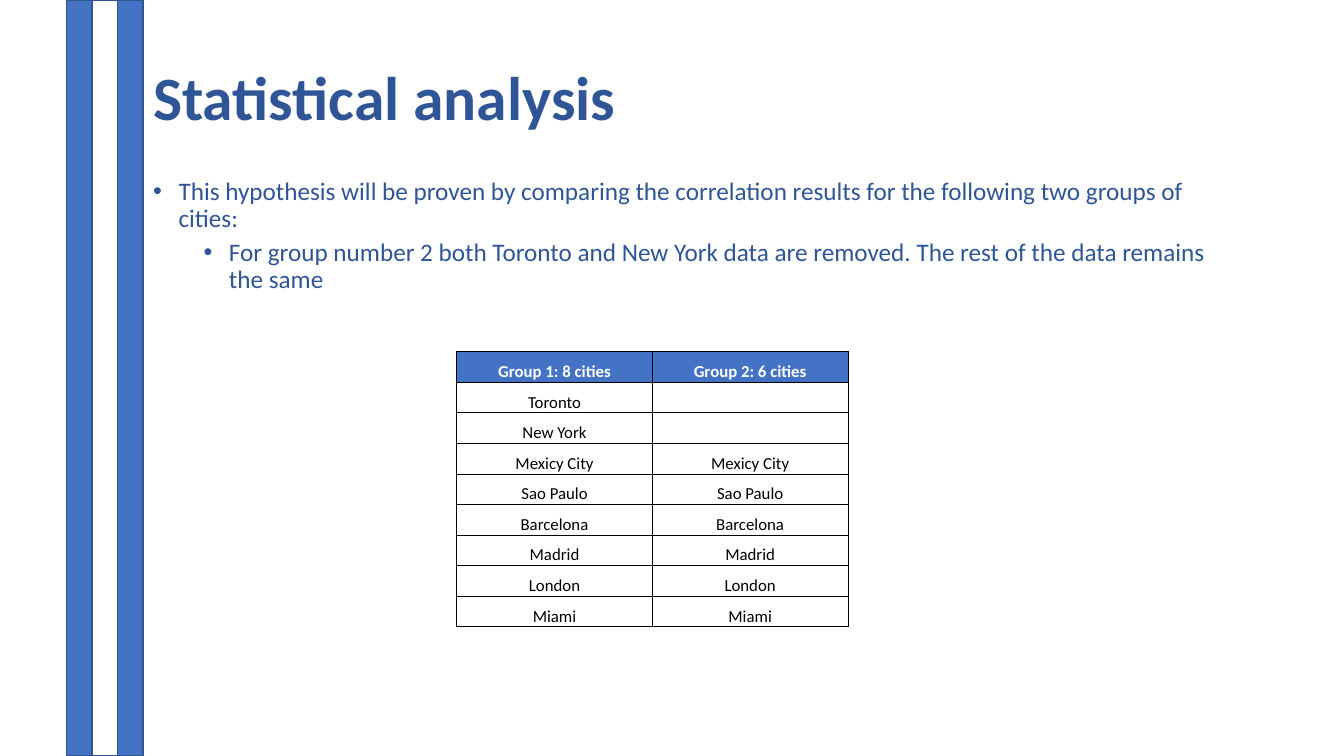
from dataclasses import dataclass

from lxml import etree
from pptx import Presentation
from pptx import util as u
from pptx.dml.color import RGBColor
from pptx.enum import shapes, text
from pptx.oxml import ns

FONT = "Calibri"
BLUE, DARK_BLUE, OUTLINE = "4472C4", "2F5597", "325491"
WHITE, BLACK = "FFFFFF", "000000"
TEXT_LEFT, TEXT_WIDTH = 3.61, 27.94
STRIPE_LEFT, STRIPE_WIDTH = 1.68, 0.64
SLIDE_HEIGHT = 19.05
COLUMN_WIDTH, ROW_HEIGHT = 4.93, 0.77


@dataclass
class Style:
    size: int
    color: str
    bold: bool = False


@dataclass
class Bullet:
    words: str
    indent: float
    space_before: int


TITLE_STYLE = Style(44, DARK_BLUE, True)
BODY_STYLE = Style(18, DARK_BLUE)
HEADER_STYLE = Style(12, WHITE, True)
CITY_STYLE = Style(12, BLACK)

BULLETS = [
    Bullet("This hypothesis will be proven by comparing the correlation results "
           "for the following two groups of cities:", 0.64, 10),
    Bullet("For group number 2 both Toronto and New York data are removed. "
           "The rest of the data remains the same", 1.91, 5),
]
HEADERS = ("Group 1: 8 cities", "Group 2: 6 cities")
CITIES = ("Toronto", "New York", "Mexicy City", "Sao Paulo",
          "Barcelona", "Madrid", "London", "Miami")
REMOVED = ("Toronto", "New York")


def rgb(value: str) -> RGBColor:
    return RGBColor.from_string(value)


def add_span(para, words: str, style: Style) -> None:
    span = para.add_run()
    span.text = words
    span.font.name = FONT
    span.font.size = u.Pt(style.size)
    span.font.bold = style.bold
    span.font.color.rgb = rgb(style.color)


def add_stripe(page, left: float, fill: str) -> None:
    stripe = page.shapes.add_shape(
        shapes.MSO_SHAPE.FLOWCHART_PROCESS, u.Cm(left), 0,
        u.Cm(STRIPE_WIDTH), u.Cm(SLIDE_HEIGHT))
    stripe.shadow.inherit = False
    stripe.fill.solid()
    stripe.fill.fore_color.rgb = rgb(fill)
    stripe.line.color.rgb = rgb(OUTLINE)
    stripe.line.width = u.Pt(1)


def add_text_frame(page, top: float, height: float, anchor):
    box = page.shapes.add_textbox(
        u.Cm(TEXT_LEFT), u.Cm(top), u.Cm(TEXT_WIDTH), u.Cm(height))
    box.text_frame.word_wrap = True
    box.text_frame.vertical_anchor = anchor
    return box.text_frame


def add_bullet(para, bullet: Bullet) -> None:
    para.line_spacing = 0.9
    para.space_before = u.Pt(bullet.space_before)
    props = para._p.get_or_add_pPr()
    props.set("marL", str(u.Cm(bullet.indent)))
    props.set("indent", str(-u.Cm(0.64)))
    etree.SubElement(props, ns.qn("a:buFont")).set("typeface", "Arial")
    etree.SubElement(props, ns.qn("a:buChar")).set("char", "•")
    add_span(para, bullet.words, BODY_STYLE)


def add_borders(cell) -> None:
    props = cell._tc.get_or_add_tcPr()
    for side in ("a:lnL", "a:lnR", "a:lnT", "a:lnB"):
        line = etree.SubElement(props, ns.qn(side), w=str(u.Pt(0.5)))
        fill = etree.SubElement(line, ns.qn("a:solidFill"))
        etree.SubElement(fill, ns.qn("a:srgbClr"), val=BLACK)


def fill_cell(cell, words: str, is_header: bool) -> None:
    cell.margin_left = cell.margin_right = cell.margin_top = u.Cm(0.03)
    cell.margin_bottom = 0
    cell.vertical_anchor = text.MSO_ANCHOR.BOTTOM
    add_borders(cell)
    if is_header:
        cell.fill.solid()
        cell.fill.fore_color.rgb = rgb(BLUE)
    else:
        cell.fill.background()
    para = cell.text_frame.paragraphs[0]
    para.alignment = text.PP_ALIGN.CENTER
    if words:
        add_span(para, words, HEADER_STYLE if is_header else CITY_STYLE)
    else:
        # Keeps an empty row as low as the others
        etree.SubElement(para._p, ns.qn("a:endParaRPr"), sz="1200")


def add_city_table(page) -> None:
    rows = [HEADERS] + [(city, "" if city in REMOVED else city) for city in CITIES]
    table = page.shapes.add_table(
        len(rows), len(HEADERS), u.Cm(11.51), u.Cm(8.86),
        u.Cm(COLUMN_WIDTH * len(HEADERS)), u.Cm(ROW_HEIGHT * len(rows))).table
    table.first_row = table.horz_banding = False
    for column in table.columns:
        column.width = u.Cm(COLUMN_WIDTH)
    for r, row in enumerate(rows):
        table.rows[r].height = u.Cm(ROW_HEIGHT)
        for c, words in enumerate(row):
            fill_cell(table.cell(r, c), words, r == 0)


def main() -> None:
    deck = Presentation()
    deck.slide_width, deck.slide_height = u.Cm(33.87), u.Cm(SLIDE_HEIGHT)
    page = deck.slides.add_slide(deck.slide_layouts[6])

    # Stripes down the left side
    for i, fill in enumerate((BLUE, WHITE, BLUE)):
        add_stripe(page, STRIPE_LEFT + i * STRIPE_WIDTH, fill)

    # Title
    title = add_text_frame(page, 0.69, 3.68, text.MSO_ANCHOR.MIDDLE).paragraphs[0]
    title.line_spacing = 0.9
    add_span(title, "Statistical analysis", TITLE_STYLE)

    # Bullets
    body = add_text_frame(page, 4.37, 12.78, text.MSO_ANCHOR.TOP)
    for i, bullet in enumerate(BULLETS):
        add_bullet(body.add_paragraph() if i else body.paragraphs[0], bullet)

    # City groups
    add_city_table(page)

    deck.save("out.pptx")


if __name__ == "__main__":
    main()
